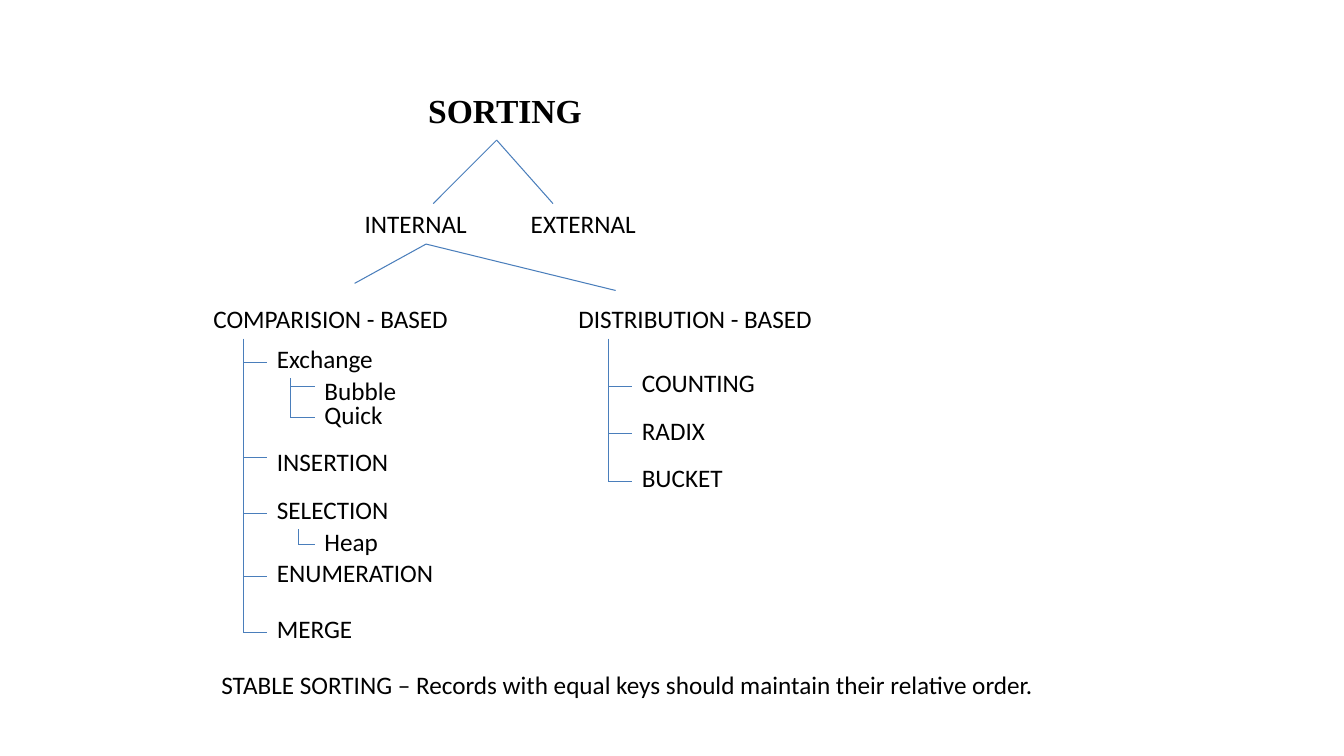
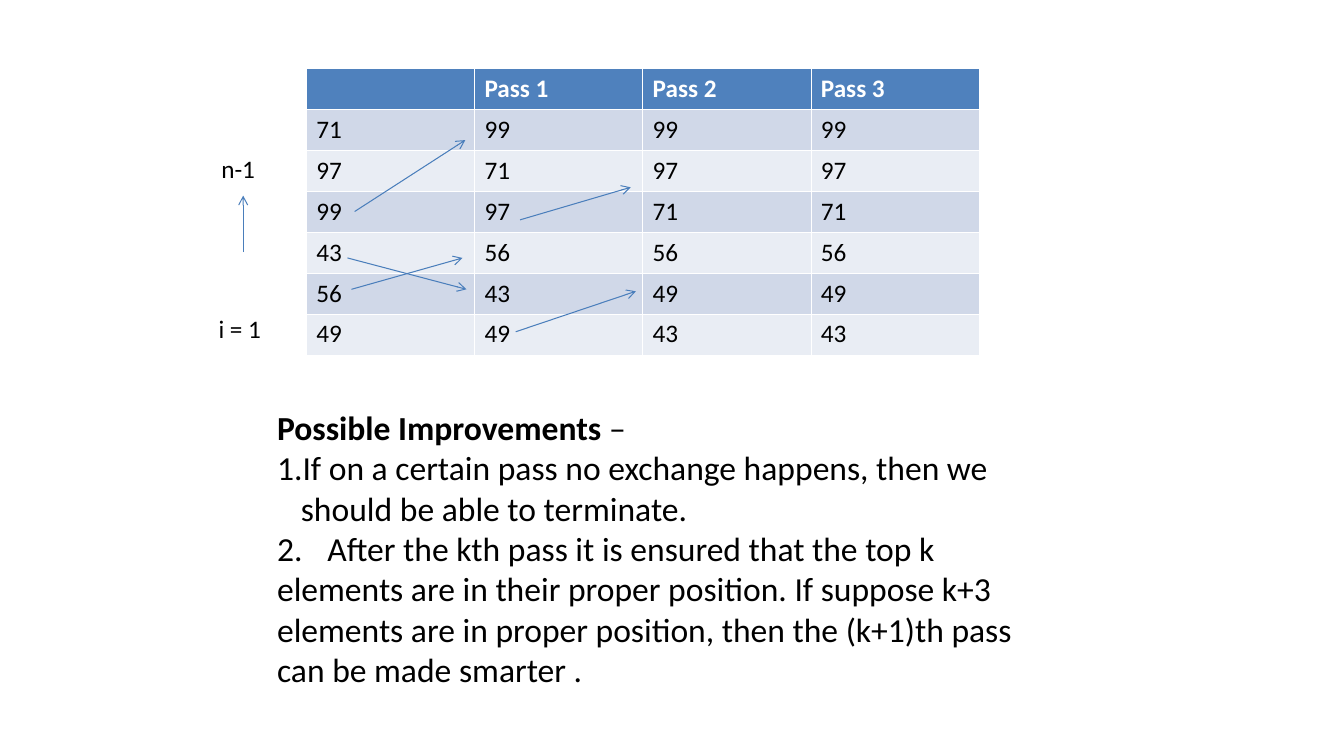
"""Build two slides on sorting: a family tree of methods and the passes of bubble sort."""
from lxml import etree
from pptx import Presentation
from pptx import util as u
from pptx.dml.color import RGBColor
from pptx.enum import shapes, text
from pptx.oxml import ns

BLACK, WHITE, LINE = "000000", "FFFFFF", "4A7EBB"
HEADER, BANDS = "4F81BD", ("E9EDF4", "D0D8E8")
PLAIN = {"name": "Calibri", "size": u.Pt(18), "bold": False}
HEADING = {"name": "Times New Roman", "size": u.Pt(24), "bold": True}
LARGE = {**PLAIN, "size": u.Pt(24)}
FRAME = {
    "word_wrap": True,
    "auto_size": text.MSO_AUTO_SIZE.SHAPE_TO_FIT_TEXT,
    "vertical_anchor": text.MSO_ANCHOR.TOP,
}


def write(para, words, formats=PLAIN, color=BLACK):
    span = para.add_run()
    span.text = words
    for name, value in formats.items():
        setattr(span.font, name, value)
    span.font.color.rgb = RGBColor.from_string(color)


def draw_line(page, start, end, arrow=False):
    points = [u.Cm(value) for value in (*start, *end)]
    line = page.shapes.add_connector(shapes.MSO_CONNECTOR.STRAIGHT, *points)
    line.line.color.rgb = RGBColor.from_string(LINE)
    line.line.width = u.Pt(0.75)
    properties = line._element.spPr
    if arrow:
        etree.SubElement(properties.find(ns.qn("a:ln")), ns.qn("a:tailEnd"), type="arrow")
    etree.SubElement(properties, ns.qn("a:effectLst"))


deck = Presentation()
deck.slide_width, deck.slide_height = u.Cm(33.88), u.Cm(19.05)
tree = deck.slides.add_slide(deck.slide_layouts[5])
passes = deck.slides.add_slide(deck.slide_layouts[1])
unused_title = passes.shapes.title._element
unused_title.getparent().remove(unused_title)

title, body = tree.shapes.title, passes.placeholders[1]
for box, place in (
    (title, (10.54, 2.13, 10.21, 1.27)),
    (body, (6.73, 10.13, 19.79, 7.37)),
):
    box.left, box.top, box.width, box.height = [u.Cm(value) for value in place]
    for name, value in FRAME.items():
        setattr(box.text_frame, name, value)

para = title.text_frame.paragraphs[0]
para.alignment = text.PP_ALIGN.LEFT
write(para, "SORTING", HEADING)

forks = [
    ((12.52, 3.53), [(13.94, 5.13), (10.92, 5.13)]),
    ((10.74, 6.15), [(15.52, 7.32), (8.94, 7.14)]),
]
for start, ends in forks:
    for end in ends:
        draw_line(tree, start, end)

labels = [
    (tree, "EXTERNAL", 13.13, 5.13, 3.61),
    (tree, "INTERNAL", 8.94, 5.13, 3.61),
    (tree, "DISTRIBUTION - BASED", 14.33, 7.52, 7.21),
    (tree, "COMPARISION - BASED", 5.13, 7.52, 7.01),
    (tree, "STABLE SORTING – Records with equal keys should maintain their relative order.",
     5.33, 16.74, 22.2),
    (passes, "i = 1", 5.26, 7.77, 1.7),
    (passes, "n-1", 5.33, 3.73, 1.4),
]

branches = [
    (6.13, 8.53, 0.6, [
        ("Exchange", 9.13, 0.6, 3.4),
        ("INSERTION", 11.53, 0.4, 3.99),
        ("SELECTION", 12.93, 0.6, 3.61),
        ("ENUMERATION", 14.53, 0.6, 5.38),
        ("MERGE", 15.93, 0.6, 4.39),
    ]),
    (7.33, 9.53, 0.6, [("Bubble", 9.73, 0.4, 3.81), ("Quick", 10.53, 0.6, 3.4)]),
    (7.53, 13.33, 0.4, [("Heap", 13.73, 0.6, 2.21)]),
    (15.33, 8.53, 0.6, [
        ("COUNTING", 9.73, 0.6, 3.81),
        ("RADIX", 10.93, 0.6, 3.61),
        ("BUCKET", 12.13, 0.6, 3.61),
    ]),
]
for trunk, top, reach, twigs in branches:
    draw_line(tree, (trunk, top), (trunk, twigs[-1][1]))
    for words, level, lift, width in twigs:
        draw_line(tree, (trunk, level), (trunk + reach, level))
        labels.append((tree, words, trunk + reach, level - lift, width))

for page, words, left, top, width in labels:
    box = page.shapes.add_textbox(u.Cm(left), u.Cm(top), u.Cm(width), u.Cm(1.02))
    for name, value in FRAME.items():
        setattr(box.text_frame, name, value)
    write(box.text_frame.paragraphs[0], words)

rows = [
    ("", "Pass 1", "Pass 2", "Pass 3"),
    ("71", "99", "99", "99"),
    ("97", "71", "97", "97"),
    ("99", "97", "71", "71"),
    ("43", "56", "56", "56"),
    ("56", "43", "49", "49"),
    ("49", "49", "43", "43"),
]
column_width, row_height = 4.24, 1.03
table = passes.shapes.add_table(
    len(rows), len(rows[0]), u.Cm(7.72), u.Cm(1.73),
    u.Cm(column_width * len(rows[0])), u.Cm(row_height * len(rows)),
).table
for row_index, row in enumerate(rows):
    table.rows[row_index].height = u.Cm(row_height)
    is_header = row_index == 0
    for column_index, words in enumerate(row):
        cell = table.cell(row_index, column_index)
        properties = cell._tc.get_or_add_tcPr()
        for side in "LRTB":
            heavy = (row_index, side) in ((0, "B"), (1, "T"))
            width = str(u.Pt(1.47 if heavy else 0.45))
            border = etree.SubElement(properties, ns.qn(f"a:ln{side}"), w=width)
            fill = etree.SubElement(border, ns.qn("a:solidFill"))
            etree.SubElement(fill, ns.qn("a:srgbClr"), val=WHITE)
        cell.fill.solid()
        cell.fill.fore_color.rgb = RGBColor.from_string(HEADER if is_header else BANDS[row_index % 2])
        if words:
            write(cell.text_frame.paragraphs[0], words,
                  {**PLAIN, "bold": is_header}, WHITE if is_header else BLACK)

moves = [
    ((8.94, 5.33), (11.73, 3.53)),
    ((8.86, 7.29), (11.66, 6.5)),
    ((8.76, 6.5), (11.76, 7.29)),
    ((13.11, 5.54), (15.9, 4.72)),
    ((13.0, 8.36), (16.03, 7.34)),
    ((6.13, 6.35), (6.13, 4.93)),
]
for start, end in moves:
    draw_line(passes, start, end, arrow=True)

paragraphs = [
    [("Possible Improvements", True), (" –", False)],
    [("If on a certain pass no exchange happens, then we should be able to terminate.", False)],
    [("2.\tAfter the kth pass it is ensured that the top k elements are in their proper position. "
      "If suppose k+3 elements are in proper position, then the (k+1)th pass can be made smarter .",
      False)],
]
for index, spans in enumerate(paragraphs):
    frame = body.text_frame
    para = frame.add_paragraph() if index else frame.paragraphs[0]
    para.space_before = u.Pt(0)
    numbered = index == 1
    hanging = u.Cm(0.6) if numbered else 0
    properties = para._p.get_or_add_pPr()
    properties.set("marL", str(hanging))
    properties.set("indent", str(-hanging))
    if numbered:
        etree.SubElement(properties, ns.qn("a:buFont"), typeface="+mj-lt")
        etree.SubElement(properties, ns.qn("a:buAutoNum"), type="arabicPeriod")
    else:
        etree.SubElement(properties, ns.qn("a:buNone"))
    if index == 2:
        stops = etree.SubElement(properties, ns.qn("a:tabLst"))
        etree.SubElement(stops, ns.qn("a:tab"), pos=str(u.Cm(1.03)), algn="l")
    for words, bold in spans:
        write(para, words, {**LARGE, "bold": bold})

deck.save("out.pptx")
